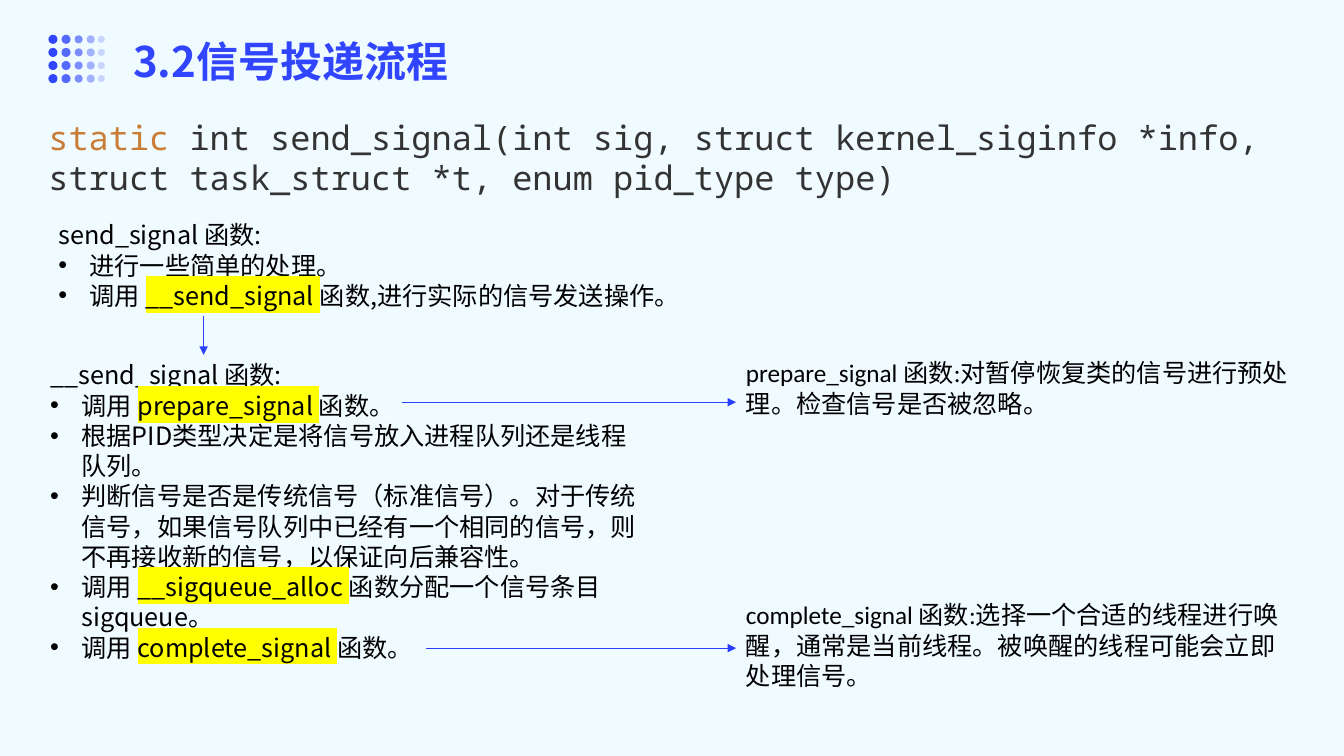
import pptx
import pptx.dml.color
import pptx.enum.shapes
import pptx.enum.text
import pptx.oxml
import pptx.oxml.ns
import pptx.util
from pptx.util import Inches

COLORS = {
    "background": "EFFBFF",
    "accent": "3045FD",
    "arrow": "2A3FFC",
    "keyword": "CA7D37",
    "code": "333333",
    "body": "000000",
    "highlight": "FFFF00",
}
SANS, MONO, LATIN = "Noto Sans CJK SC", "Noto Sans Mono", "Calibri"

TITLE = "3.2信号投递流程"
SIGNATURE = [
    ("static", "keyword"),
    (" int send_signal(int sig, struct kernel_siginfo *info, "
     "struct task_struct *t, enum pid_type type)", "code"),
]
SEND_SIGNAL = {
    "at": (0.48, 2.13, 6.67, 1.01),
    "heading": "send_signal 函数:",
    "steps": [
        ("进行一些简单的处理。",),
        ("调用 ", "__send_signal ", "函数,进行实际的信号发送操作。"),
    ],
}
INNER_SEND_SIGNAL = {
    "at": (0.4, 3.52, 6.14, 3.13),
    "heading": "__send_signal 函数:",
    "steps": [
        ("调用 ", "prepare_signal ", "函数。"),
        ("根据PID类型决定是将信号放入进程队列还是线程队列。",),
        ("判断信号是否是传统信号（标准信号）。对于传统信号，如果信号队列中已经有一个相同的信号，"
         "则不再接收新的信号，以保证向后兼容性。",),
        ("调用 ", "__sigqueue_alloc ", "函数分配一个信号条目 sigqueue。"),
        ("调用 ", "complete_signal ", "函数。"),
    ],
}
EXPLANATIONS = [
    "prepare_signal 函数:对暂停恢复类的信号进行预处理。检查信号是否被忽略。",
    "complete_signal 函数:选择一个合适的线程进行唤醒，通常是当前线程。被唤醒的线程可能会立即处理信号。",
]
ARROWS = [
    ((3.99, 3.99), (7.3, 3.99)),
    ((4.23, 6.43), (7.3, 6.43)),
    ((2.02, 3.14), (2.02, 3.52)),
]
DOT_COLUMNS = [(0.525, 0.09, 100), (0.655, 0.09, 80), (0.78, 0.08, 60), (0.9, 0.08, 40), (1.005, 0.07, 20)]
DOT_ROWS, DOT_TOP, DOT_PITCH = 4, 0.39, 0.13
BODY_SIZE, CODE_SIZE, TITLE_SIZE = 18, 24, 30
LEADING = 1.2
EXPLANATION_GAP_LINES = 6


def rgb(name):
    """Return the named colour."""
    return pptx.dml.color.RGBColor.from_string(COLORS[name])


def child(parent, tag, **attributes):
    """Append a drawing element with the given attributes."""
    element = pptx.oxml.parse_xml(f"<a:{tag} {pptx.oxml.ns.nsdecls('a')}/>")
    for key, value in attributes.items():
        element.set(key, value)
    parent.append(element)
    return element


def add_frame(slide, at, insets=(0.1, 0.05, 0.1, 0.05), grow=True):
    """Add a wrapping text box and return its text frame."""
    frame = slide.shapes.add_textbox(*map(Inches, at)).text_frame
    frame.word_wrap = True
    frame.margin_left, frame.margin_top, frame.margin_right, frame.margin_bottom = map(Inches, insets)
    if grow:
        frame.auto_size = pptx.enum.text.MSO_AUTO_SIZE.SHAPE_TO_FIT_TEXT
    return frame


def add_run(paragraph, text, size, font, color, bold=False, marked=False):
    """Add one styled run."""
    run = paragraph.add_run()
    run.text = text
    run.font.size = pptx.util.Pt(size)
    run.font.bold = bold
    run.font.color.rgb = rgb(color)
    run.font.name = font
    properties = run.font.element if hasattr(run.font, "element") else run._r.get_or_add_rPr()
    child(properties, "ea", typeface=SANS)
    if marked:
        highlight = child(properties, "highlight")
        child(highlight, "srgbClr", val=COLORS["highlight"])
        properties.find(pptx.oxml.ns.qn("a:latin")).addprevious(highlight)


def add_bullet(paragraph):
    """Give a paragraph a hanging bullet."""
    properties = paragraph._p.get_or_add_pPr()
    properties.set("marL", str(Inches(0.31)))
    properties.set("indent", str(-Inches(0.31)))
    child(properties, "buFont", typeface="Arial")
    child(properties, "buChar", char="•")


def add_function(slide, function):
    """Add a function heading with its bulleted steps."""
    frame = add_frame(slide, function["at"])
    heading = frame.paragraphs[0]
    heading.line_spacing = pptx.util.Pt(BODY_SIZE * LEADING)
    add_run(heading, function["heading"], BODY_SIZE, SANS, "body")
    for step in function["steps"]:
        paragraph = frame.add_paragraph()
        paragraph.line_spacing = pptx.util.Pt(BODY_SIZE * LEADING)
        add_bullet(paragraph)
        for position, text in enumerate(step):
            add_run(paragraph, text, BODY_SIZE, SANS, "body", marked=position == 1)


def add_dots(slide):
    """Add the fading grid of dots beside the title."""
    dots = slide.shapes.add_group_shape()
    for row in range(DOT_ROWS):
        middle = DOT_TOP + row * DOT_PITCH
        for center, size, opacity in DOT_COLUMNS:
            dot = dots.shapes.add_shape(
                pptx.enum.shapes.MSO_SHAPE.OVAL,
                Inches(center - size / 2), Inches(middle - size / 2), Inches(size), Inches(size))
            dot.shadow.inherit = False
            dot.line.fill.background()
            dot.fill.solid()
            dot.fill.fore_color.rgb = rgb("accent")
            if opacity < 100:
                tint = dot.element.spPr.find(".//" + pptx.oxml.ns.qn("a:srgbClr"))
                child(tint, "alpha", val=str(opacity * 1000))


def add_arrow(slide, start, end):
    """Add a straight arrow."""
    arrow = slide.shapes.add_connector(
        pptx.enum.shapes.MSO_CONNECTOR.STRAIGHT, *map(Inches, start + end))
    arrow.line.color.rgb = rgb("arrow")
    arrow.line.width = pptx.util.Pt(0.75)
    properties = arrow.element.spPr
    child(properties.find(pptx.oxml.ns.qn("a:ln")), "tailEnd", type="triangle")
    child(properties, "effectLst")


def main():
    """Build the signal delivery slide."""
    deck = pptx.Presentation()
    deck.slide_width, deck.slide_height = Inches(13.33), Inches(7.5)
    slide = deck.slides.add_slide(deck.slide_layouts[6])
    slide.background.fill.solid()
    slide.background.fill.fore_color.rgb = rgb("background")

    add_dots(slide)
    title = add_frame(slide, (1.18, 0.08, 10.94, 0.9), (0.14, 0.27, 0.06, 0), grow=False)
    add_run(title.paragraphs[0], TITLE, TITLE_SIZE, SANS, "accent", bold=True)

    signature = add_frame(slide, (0.48, 1.15, 12.13, 0.81), (0, 0, 0, 0))
    signature.vertical_anchor = pptx.enum.text.MSO_ANCHOR.MIDDLE
    signature.paragraphs[0].line_spacing = pptx.util.Pt(CODE_SIZE * LEADING)
    for text, color in SIGNATURE:
        add_run(signature.paragraphs[0], text, CODE_SIZE, MONO, color)

    add_function(slide, INNER_SEND_SIGNAL)
    add_function(slide, SEND_SIGNAL)

    explanations = add_frame(slide, (7.3, 3.5, 5.6, 3.43))
    for position, text in enumerate(EXPLANATIONS):
        paragraph = explanations.add_paragraph() if position else explanations.paragraphs[0]
        paragraph.line_spacing = pptx.util.Pt(BODY_SIZE * LEADING)
        paragraph.space_before = pptx.util.Pt(position * EXPLANATION_GAP_LINES * BODY_SIZE * LEADING)
        add_run(paragraph, text, BODY_SIZE, LATIN, "body")

    for start, end in ARROWS:
        add_arrow(slide, start, end)
    deck.save("out.pptx")


if __name__ == "__main__":
    main()
